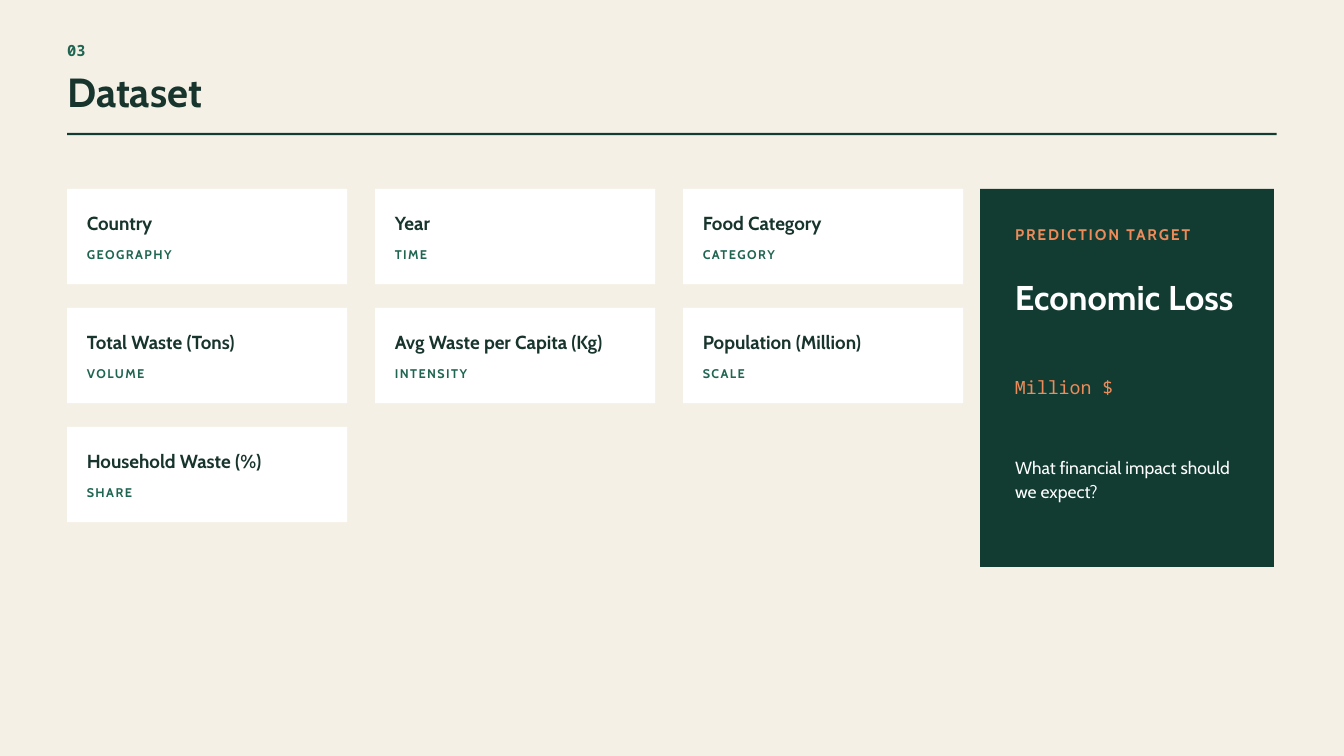
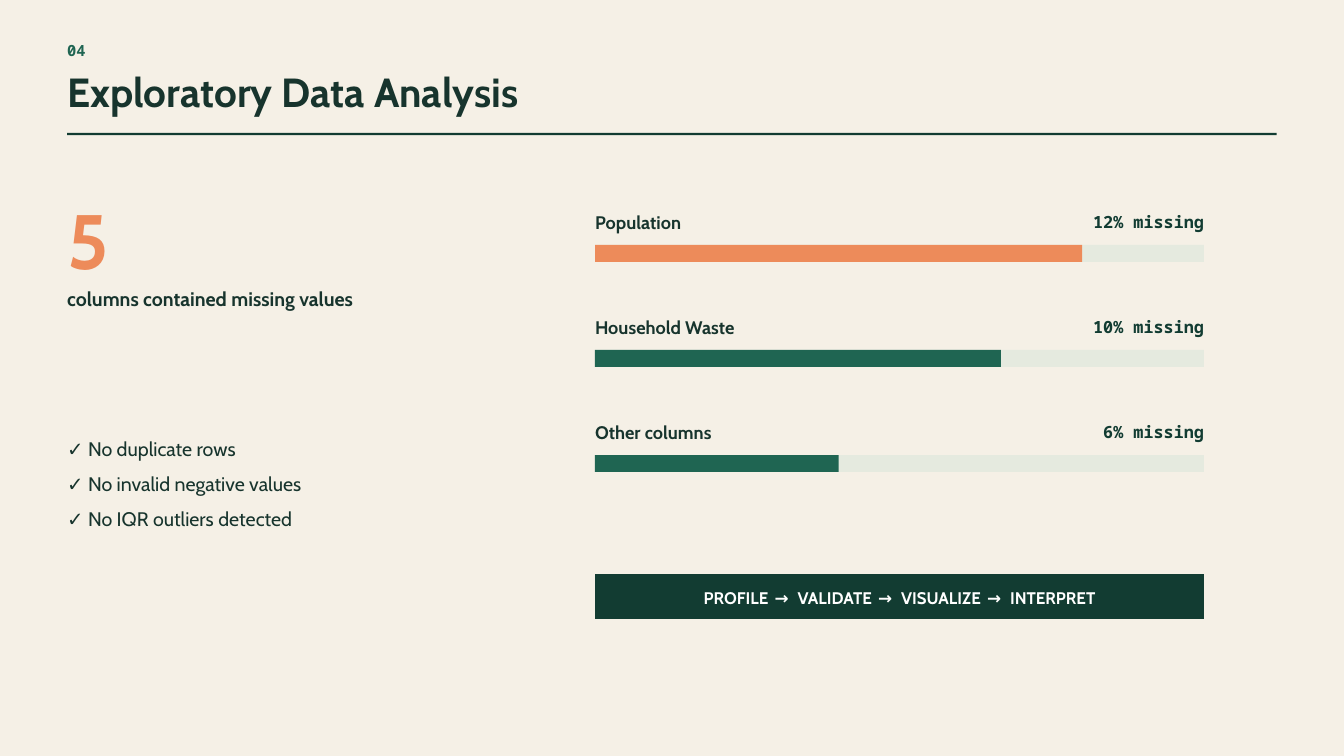
from pptx import Presentation
from pptx.dml.color import RGBColor
from pptx.enum.shapes import MSO_SHAPE
from pptx.enum.text import PP_ALIGN
from pptx.util import Emu, Pt

CREAM = RGBColor(0xF5, 0xF0, 0xE6)
INK = RGBColor(0x17, 0x34, 0x2D)
PINE = RGBColor(0x12, 0x3C, 0x32)
GREEN = RGBColor(0x1F, 0x65, 0x52)
CORAL = RGBColor(0xED, 0x8B, 0x5A)
MINT = RGBColor(0xE5, 0xEA, 0xDF)
WHITE = RGBColor(0xFF, 0xFF, 0xFF)
SANS, MONO = "Cabin", "Noto Sans Mono"
LEFT = 96

FIELDS = [
    ("Country", "GEOGRAPHY"),
    ("Year", "TIME"),
    ("Food Category", "CATEGORY"),
    ("Total Waste (Tons)", "VOLUME"),
    ("Avg Waste per Capita (Kg)", "INTENSITY"),
    ("Population (Million)", "SCALE"),
    ("Household Waste (%)", "SHARE"),
]
TARGET = [
    ("PREDICTION TARGET", 317, 330, 29,
     dict(size=16.5, lead=23.1, color=CORAL, bold=True, gap=2)),
    ("Economic Loss", 385, 340, 132,
     dict(size=36.8, lead=51.5, color=WHITE, bold=True)),
    ("Million $", 532, 300, 34,
     dict(size=19.5, lead=27.3, color=CORAL, face=MONO)),
    ("What financial impact should we expect?", 649, 330, 63,
     dict(size=18.8, lead=25.3, color=WHITE)),
]
CHECKS = ["✓ No duplicate rows", "✓ No invalid negative values",
          "✓ No IQR outliers detected"]
MISSING = [("Population", 12, CORAL), ("Household Waste", 10, GREEN),
           ("Other columns", 6, GREEN)]
FULL = 15
STEPS = ["PROFILE", "VALIDATE", "VISUALIZE", "INTERPRET"]


def px(*nums):
    return [Emu(round(n * 9525)) for n in nums]


def block(slide, x, y, w, h, color):
    shape = slide.shapes.add_shape(MSO_SHAPE.RECTANGLE, *px(x, y, w, h))
    shape.shadow.inherit = False
    shape.fill.solid()
    shape.fill.fore_color.rgb = color
    shape.line.fill.background()


def text(slide, lines, x, y, w, h, size, lead, color=INK, face=SANS,
         bold=False, gap=0, align=PP_ALIGN.LEFT):
    frame = slide.shapes.add_textbox(*px(x, y, w, h)).text_frame
    frame.word_wrap = True
    frame.margin_left = frame.margin_right = 0
    frame.margin_top = frame.margin_bottom = 0
    for i, line in enumerate([lines] if isinstance(lines, str) else lines):
        para = frame.paragraphs[0] if i == 0 else frame.add_paragraph()
        para.alignment = align
        para.line_spacing = Pt(lead)
        for part, space in [(line, gap)] if isinstance(line, str) else line:
            run = para.add_run()
            run.text = part
            font = run.font
            font.name, font.size, font.bold = face, Pt(size), bold
            font.color.rgb = color
            if space:
                run._r.get_or_add_rPr().set("spc", str(round(space * 100)))


def page(deck, num, title):
    slide = deck.slides.add_slide(deck.slide_layouts[6])
    slide.background.fill.solid()
    slide.background.fill.fore_color.rgb = CREAM
    text(slide, num, LEFT, 55, 70, 29, 16.5, 23.1, GREEN, MONO, True)
    text(slide, title, LEFT, 103, 1500, 64, 43.5, 47, bold=True)
    block(slide, LEFT, 190, 1728, 3, PINE)
    return slide


def dataset(deck):
    slide = page(deck, "03", "Dataset")
    for i, (name, kind) in enumerate(FIELDS):
        row, col = divmod(i, 3)
        x, y = LEFT + 440 * col, 270 + 170 * row
        block(slide, x, y, 400, 136, WHITE)
        text(slide, name, x + 28, y + 27, 350, 35, 20.2, 28.4, bold=True)
        text(slide, kind, x + 28, y + 79, 350, 24, 13.5, 18.9, GREEN,
             bold=True, gap=1.6)
    block(slide, 1400, 270, 420, 540, PINE)
    for line, y, w, h, style in TARGET:
        text(slide, line, 1450, y, w, h, **style)


def explore(deck):
    slide = page(deck, "04", "Exploratory Data Analysis")
    text(slide, "5", LEFT, 253, 220, 149, 82.5, 115.5, CORAL, bold=True)
    text(slide, "columns contained missing values", LEFT, 406, 520, 36,
         21, 28.4, bold=True)
    text(slide, CHECKS, LEFT, 607, 620, 146, 21, 37.8)
    x, wide = 850, 870
    for i, (name, rate, color) in enumerate(MISSING):
        y = 297 + 150 * i
        text(slide, name, x, y, 430, 34, 19.5, 27.3, bold=True)
        text(slide, f"{rate}% missing", x + wide - 220, y, 220, 32, 18, 25.2,
             PINE, MONO, True, align=PP_ALIGN.RIGHT)
        block(slide, x, y + 53, wide, 24, MINT)
        block(slide, x, y + 53, wide * rate / FULL, 24, color)
    block(slide, x, 820, wide, 64, PINE)
    flow = [(STEPS[0], 0)]
    for step in STEPS[1:]:
        flow += [(" → ", 2.7), (step, 0)]
    text(slide, [flow], x + 22, 835, wide - 44, 32, 18, 25.2, WHITE,
         bold=True, align=PP_ALIGN.CENTER)


def main():
    deck = Presentation()
    deck.slide_width, deck.slide_height = px(1920, 1080)
    dataset(deck)
    explore(deck)
    deck.save("out.pptx")


if __name__ == "__main__":
    main()
